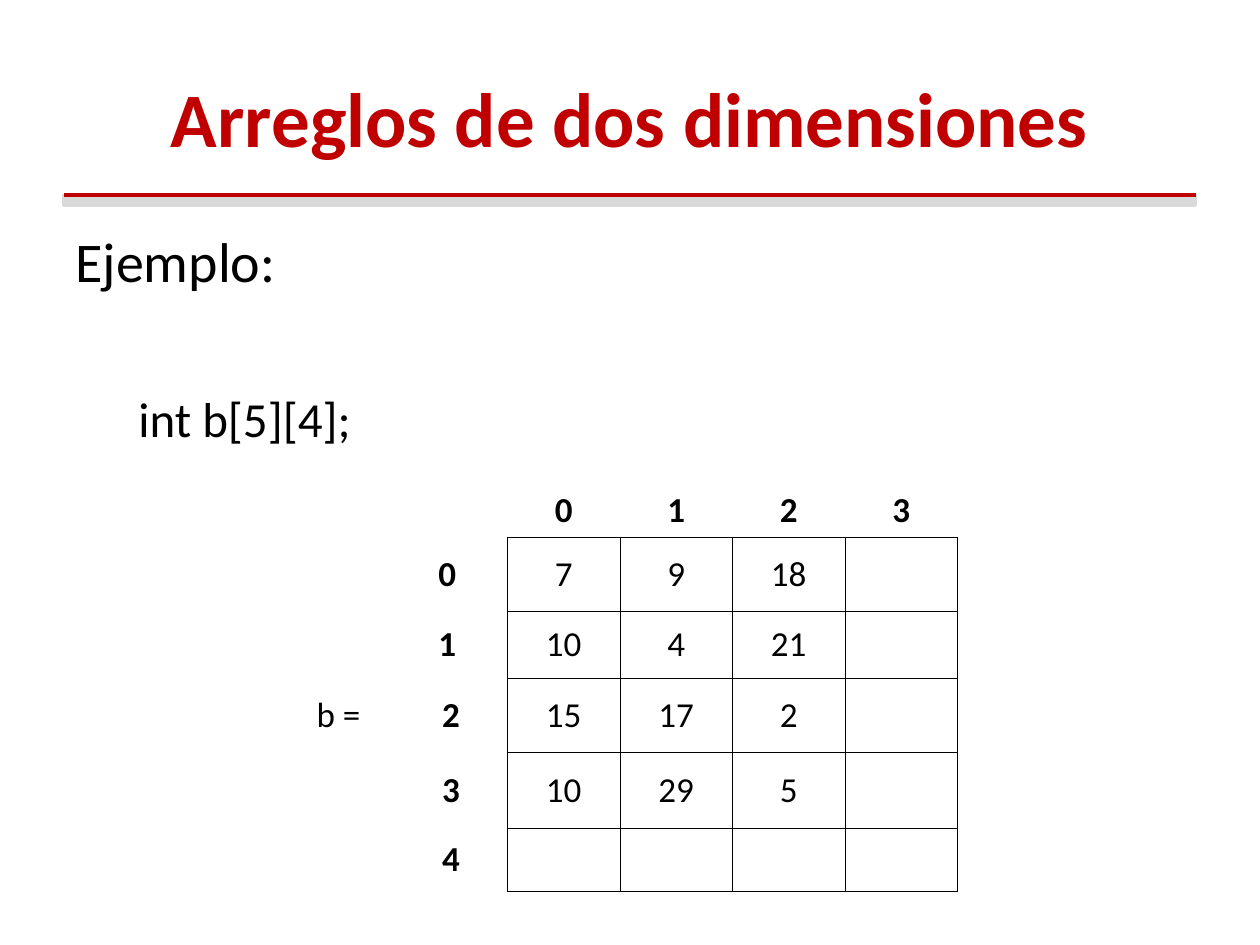
"""Build the slide on two-dimensional arrays."""
from lxml.etree import SubElement
from pptx import Presentation
from pptx.dml.color import RGBColor
from pptx.enum.shapes import MSO_CONNECTOR, MSO_SHAPE
from pptx.enum.text import MSO_ANCHOR, PP_ALIGN
from pptx.oxml.ns import qn
from pptx.util import Inches, Pt

RED = RGBColor(0xC0, 0x00, 0x00)
GREY = RGBColor(0xD9, 0xD9, 0xD9)
BLACK = RGBColor(0x00, 0x00, 0x00)


def style(para, text, size, color=BLACK, bold=False):
    run = para.add_run()
    run.text = text
    run.font.color.rgb = color
    form = {"name": "Calibri", "size": Pt(size), "bold": bold}
    for key, value in form.items():
        setattr(run.font, key, value)


def edge(cell, side, shown):
    line = SubElement(cell._tc.get_or_add_tcPr(), qn(f"a:ln{side}"), w=str(Pt(0.45)))
    if shown:
        fill = SubElement(line, qn("a:solidFill"))
        SubElement(fill, qn("a:srgbClr"), val=str(BLACK))
    else:
        SubElement(line, qn("a:noFill"))


deck = Presentation()
deck.slide_width, deck.slide_height = Inches(10), Inches(7.5)
slide = deck.slides.add_slide(deck.slide_layouts[6])
shapes = slide.shapes

band = shapes.add_shape(
    MSO_SHAPE.RECTANGLE, Inches(0.51), Inches(1.55), Inches(8.98), Inches(0.08))
band.shadow.inherit = False
band.fill.solid()
band.fill.fore_color.rgb = GREY
band.line.color.rgb = GREY
band.line.width = Pt(2)

rule = shapes.add_connector(
    MSO_CONNECTOR.STRAIGHT, Inches(0.51), Inches(1.55), Inches(9.49), Inches(1.55))
rule.line.color.rgb = RED
rule.line.width = Pt(2.25)
SubElement(rule._element.spPr, qn("a:effectLst"))

title = shapes.add_textbox(Inches(0.5), Inches(0.3), Inches(9), Inches(1.25)).text_frame
title.word_wrap = True
title.vertical_anchor = MSO_ANCHOR.MIDDLE
title.paragraphs[0].alignment = PP_ALIGN.CENTER
style(title.paragraphs[0], "Arreglos de dos dimensiones", 44, RED, True)

body = shapes.add_textbox(Inches(0.5), Inches(1.75), Inches(9), Inches(2)).text_frame
body.word_wrap = True
style(body.paragraphs[0], "Ejemplo:", 32)
code = body.add_paragraph()
code.space_before = Pt(54)
props = code._p.get_or_add_pPr()
props.set("marL", str(Inches(0.5)))
props.set("indent", "0")
style(code, "int b[5][4];", 28)

ROWS = [
    ["", "", "0", "1", "2", "3"],
    ["", "0 ", "7", "9", "18", ""],
    ["", "1 ", "10", "4", "21", ""],
    ["b =", "2", "15", "17", "2", ""],
    ["", "3", "10", "29", "5", ""],
    ["", "4", "", "", "", ""],
]
HEIGHTS = [0.42, 0.59, 0.53, 0.59, 0.6, 0.5]
INSET = {
    "margin_left": Inches(0.04), "margin_right": Inches(0.04),
    "margin_top": Inches(0.05), "margin_bottom": Inches(0.05),
}
table = shapes.add_table(
    6, 6, Inches(2.24), Inches(3.83), Inches(5.36), Inches(3.23)).table
table.first_row = table.horz_banding = False
for col in table.columns:
    col.width = Inches(5.36 / 6)
for i, (texts, height) in enumerate(zip(ROWS, HEIGHTS)):
    table.rows[i].height = Inches(height)
    for j, text in enumerate(texts):
        cell = table.cell(i, j)
        for key, value in INSET.items():
            setattr(cell, key, value)
        cell.vertical_anchor = MSO_ANCHOR.MIDDLE if i else MSO_ANCHOR.TOP
        grid = i > 0 and j > 1
        sides = {"L": grid, "R": i > 0 and j > 0, "T": grid, "B": j > 1}
        for side, shown in sides.items():
            edge(cell, side, shown)
        cell.fill.background()
        if text:
            para = cell.text_frame.paragraphs[0]
            para.alignment = PP_ALIGN.CENTER
            style(para, text, 20, bold=i == 0 or j == 1)

deck.save("out.pptx")
